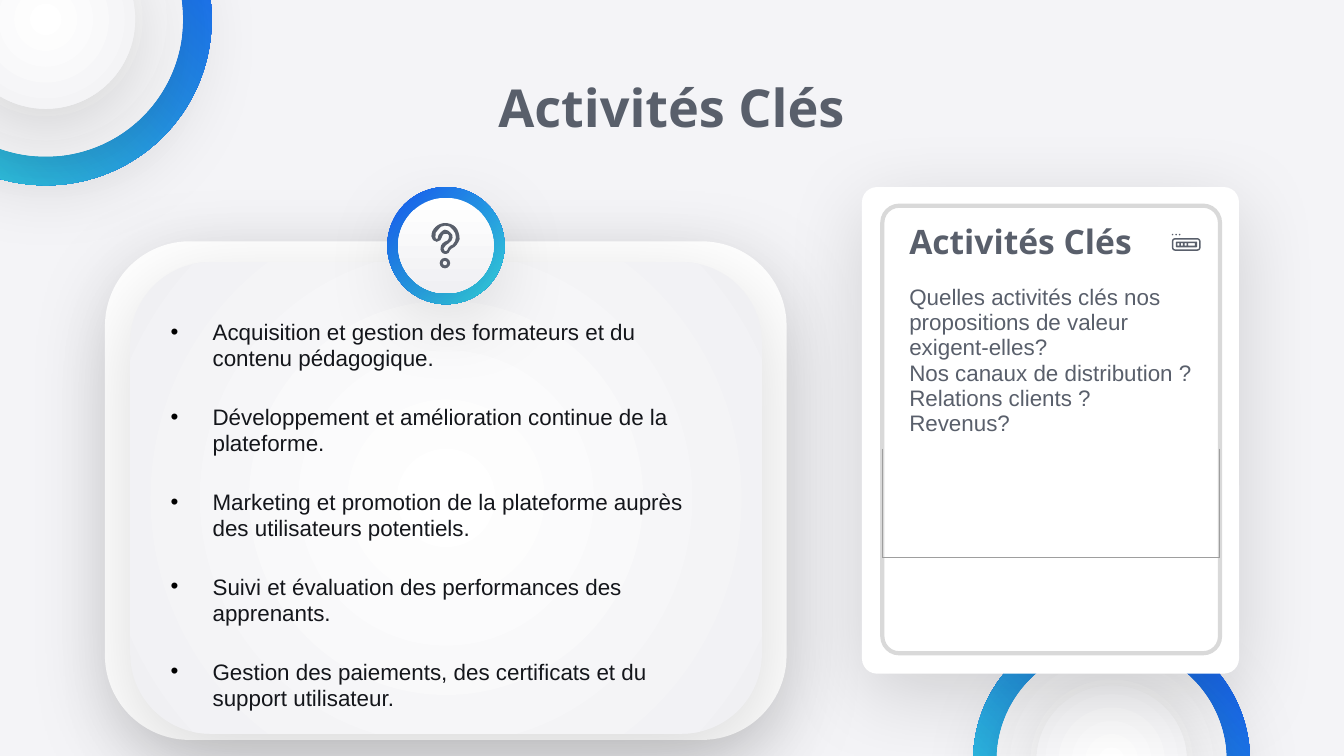
"""Build the key activities slide."""
import math

import lxml.etree
import pptx
import pptx.dml.color
import pptx.enum.shapes
import pptx.enum.text
import pptx.oxml.ns
import pptx.util

RGB = pptx.dml.color.RGBColor
BACK = RGB(0xF4, 0xF4, 0xF7)
WHITE = RGB(0xFF, 0xFF, 0xFF)
PALE = RGB(0xF0, 0xF0, 0xF3)
BLUE = RGB(0x16, 0x58, 0xF1)
CYAN = RGB(0x36, 0xDB, 0xE0)
SLATE = RGB(0x59, 0x5F, 0x6B)
INK = RGB(0x14, 0x16, 0x1B)
BLACK = RGB(0, 0, 0)
FRAME = RGB(0xD9, 0xD9, 0xD9)
RULE = RGB(0x9E, 0x9E, 0x9E)

OVAL = pptx.enum.shapes.MSO_SHAPE.OVAL
ROUND = pptx.enum.shapes.MSO_SHAPE.ROUNDED_RECTANGLE
HEAD = {"name": "Open Sans", "bold": True}
TEXT = {"name": "Arial", "bold": False, "size": pptx.util.Pt(12)}
SIDES = ("left", "right", "top", "bottom")

TITLE = "Activités Clés"
ITEMS = (
    "Acquisition et gestion des formateurs et du contenu pédagogique.",
    "Développement et amélioration continue de la plateforme.",
    "Marketing et promotion de la plateforme auprès des utilisateurs potentiels.",
    "Suivi et évaluation des performances des apprenants.",
    "Gestion des paiements, des certificats et du support utilisateur.",
)
ASKS = (
    "Quelles activités clés nos propositions de valeur exigent-elles?",
    "Nos canaux de distribution ? Relations clients ?\vRevenus?",
)
MARK = (
    "10 2 13 2 15 3 16 5 19 8 19 13 16 16 15 17 15 17 14 17 13 18 12 19 12 20 "
    "12 20 11 21 11 21 11 21 10 21 10 21 10 20 9 20 9 19 10 17 11 16 13 15 "
    "16 13 17 9 14 7 13 6 12 5 10 5 9 5 8 6 7 7 6 8 5 9 5 10 5 11 5 12 4 12 "
    "3 12 3 11 3 10 3 8 3 6 5 5 6 3 8 2 10 2",
    "10 0 8 0 5 1 3 3 1 5 0 7 0 10 0 12 2 14 4 14 6 14 8 12 8 10 8 9 9 8 10 8 "
    "11 8 11 8 12 8 14 9 13 12 12 13 9 14 7 16 7 18 6 20 8 23 10 23 "
    "10 23 10 23 11 23 12 23 14 22 14 20 14 20 15 20 15 19 18 18 20 15 21 12 "
    "21 9 20 5 18 3 16 1 13 0 10 0",
)


def fmt(item, vals):
    """Set each named attribute of an object."""
    for name, val in vals.items():
        setattr(item, name, val)


def node(base, tag, **vals):
    """Append an XML child with attributes."""
    return lxml.etree.SubElement(base, pptx.oxml.ns.qn(tag), vals)


def box(*vals):
    """Return each value as a length."""
    return [pptx.util.Pt(val) for val in vals]


def blend(fill, first, last, angle=None):
    """Fill with a gradient, turned when an angle is given."""
    fill.gradient()
    for stop, tone in zip(fill.gradient_stops, (first, last)):
        stop.color.rgb = tone
    if angle is not None:
        fill.gradient_angle = 360 - angle


def shade(shape):
    """Add the soft drop shadow."""
    glow = shape.element.spPr.find(pptx.oxml.ns.qn("a:effectLst"))
    drop = node(glow, "a:outerShdw", blurRad=str(pptx.util.Pt(45)),
                dist=str(pptx.util.Pt(11.2)), dir="5100000", rotWithShape="0")
    tone = node(drop, "a:srgbClr", val=str(BLACK))
    node(tone, "a:alpha", val="15000")


def plain(shape):
    """Drop the shadow and the line of a shape."""
    shape.shadow.inherit = False
    shape.line.fill.background()
    return shape


def radial(shape):
    """Give a shape the white glow from its centre."""
    blend(shape.fill, WHITE, PALE)
    grad = shape.element.spPr.find(pptx.oxml.ns.qn("a:gradFill"))
    grad.remove(grad.find(pptx.oxml.ns.qn("a:lin")))
    way = node(grad, "a:path", path="circle")
    node(way, "a:fillToRect", l="50000", t="50000", r="50000", b="50000")
    shade(shape)


def disc(shapes, x, y, size, turn=0):
    """Add a circle around a centre point."""
    half = size / 2
    shape = plain(shapes.add_shape(OVAL, *box(x - half, y - half, size, size)))
    shape.rotation = turn
    return shape


def rings(shapes, x, y, sizes):
    """Add a blue ring with two glowing discs inside."""
    blend(disc(shapes, x, y, sizes[0], 90).fill, BLUE, CYAN, 45)
    for size in sizes[1:]:
        radial(disc(shapes, x, y, size, 90))


def panel(shapes, area, adj):
    """Add a rounded rectangle."""
    shape = plain(shapes.add_shape(ROUND, *box(*area)))
    shape.adjustments[0] = adj
    return shape


def chain(data, x, y, unit):
    """Scale a string of coordinates to points."""
    nums = [int(num) for num in data.split()]
    return [(x + a * unit, y + b * unit) for a, b in zip(nums[::2], nums[1::2])]


def pill(x, y, wide, high, rad=0):
    """Return the points of a rounded rectangle."""
    ends = ((x + wide - rad, y + high - rad), (x + rad, y + high - rad),
            (x + rad, y + rad), (x + wide - rad, y + rad))
    steps = range(0, 91, 30) if rad else (0,)
    return [(a + rad * math.cos(math.radians(90 * i + step)),
             b + rad * math.sin(math.radians(90 * i + step)))
            for i, (a, b) in enumerate(ends) for step in steps]


def trace(shapes, *loops):
    """Add one slate outline made of closed loops."""
    pen = None
    for loop in loops:
        first, *rest = [box(*dot) for dot in loop]
        if pen is None:
            pen = shapes.build_freeform(*first)
        else:
            pen.move_to(*first)
        pen.add_line_segments(rest, close=True)
    shape = plain(pen.convert_to_shape())
    shape.fill.solid()
    shape.fill.fore_color.rgb = SLATE
    return shape


def smooth(shape):
    """Join each three segments of an outline into one cubic curve."""
    lines = list(shape.element.iter(pptx.oxml.ns.qn("a:lnTo")))
    for i in range(0, len(lines), 3):
        curve = lxml.etree.Element(pptx.oxml.ns.qn("a:cubicBezTo"))
        lines[i].addprevious(curve)
        for line in lines[i:i + 3]:
            curve.append(line[0])
            line.getparent().remove(line)


def icons(shapes):
    """Add the question mark and the device icon."""
    smooth(trace(shapes, *[chain(data, 231.12, 119.52, 0.72) for data in MARK]))
    trace(shapes, pill(235.6, 138.2, 5.6, 5.6, 2.8), pill(237.2, 139.8, 2.4, 2.4, 1.2))
    trace(shapes, pill(627.8, 127.6, 15.4, 6.8, 1.7), pill(628.6, 128.4, 13.8, 5.2, 0.9))
    for i in range(3):
        trace(shapes, pill(627.8 + 1.9 * i, 125.3, 0.8, 0.8, 0.4))
    slots = [pill(630.8 + 1.9 * i, 130.3, 1.1, 1.4) for i in range(3)]
    trace(shapes, pill(630, 129.5, 11.4, 3, 0.4), *slots, pill(636.5, 130.3, 3.6, 1.4))


def write(para, text, tone, face):
    """Fill a paragraph with formatted text."""
    para.text = text
    for run in para.runs:
        fmt(run.font, face)
        run.font.color.rgb = tone


def place(shape, area):
    """Move a placeholder to the front and set its frame."""
    fmt(shape, dict(zip(("left", "top", "width", "height"), box(*area))))
    shape.element.getparent().append(shape.element)
    frame = shape.text_frame
    fmt(frame, {"word_wrap": True, "auto_size": pptx.enum.text.MSO_AUTO_SIZE.NONE})
    fmt(frame, {f"margin_{side}": pptx.util.Pt(7.2) for side in SIDES})
    return frame


def points(shape):
    """Write the bulleted list."""
    frame = place(shape, (84.2, 163.4, 295.2, 224.6))
    frame.vertical_anchor = pptx.enum.text.MSO_ANCHOR.TOP
    for i, item in enumerate(ITEMS):
        para = frame.add_paragraph() if i else frame.paragraphs[0]
        props = para._p.get_or_add_pPr()
        props.set("marL", str(pptx.util.Pt(22.5)))
        props.set("indent", str(pptx.util.Pt(-22.5)))
        node(node(props, "a:buClr"), "a:srgbClr", val=str(BLACK))
        node(props, "a:buFont", typeface="Arial")
        node(props, "a:buChar", char="•")
        fmt(para, {"line_spacing": pptx.util.Pt(14.2),
                   "space_before": pptx.util.Pt(17.1 if i else 0)})
        write(para, item, INK, TEXT)


def edge(cell, drawn, pad):
    """Set the borders, margins and empty fill of a cell."""
    props = cell._tc.get_or_add_tcPr()
    for side in SIDES:
        line = node(props, f"a:ln{side[0].upper()}", w=str(pptx.util.Pt(0.75)))
        if side in drawn:
            node(node(line, "a:solidFill"), "a:srgbClr", val=str(RULE))
        else:
            node(line, "a:noFill")
    cell.fill.background()
    fmt(cell, {f"margin_{side}": pptx.util.Pt(pad) for side in SIDES})


def grid(shapes):
    """Add the table with the questions."""
    table = shapes.add_table(3, 1, *box(472.7, 110.2, 180.6, 188.6)).table
    fmt(table, {"first_row": False, "horz_banding": False})
    for row, high in zip(table.rows, (130.2, 29.2, 29.2)):
        row.height = pptx.util.Pt(high)
    drawn = ((), ("left", "right"), ("left", "right", "bottom"))
    for i, lines in enumerate(drawn):
        edge(table.cell(i, 0), lines, 0 if i else 7.2)
    cell = table.cell(0, 0)
    fmt(cell, {"margin_left": pptx.util.Pt(14.4), "margin_bottom": pptx.util.Pt(6.5)})
    frame = cell.text_frame
    write(frame.paragraphs[0], TITLE, SLATE, {**HEAD, "size": pptx.util.Pt(18)})
    for i, ask in enumerate(ASKS):
        para = frame.add_paragraph()
        fmt(para, {"line_spacing": pptx.util.Pt(13.5),
                   "space_before": pptx.util.Pt(0 if i else 10.8)})
        write(para, ask, SLATE, TEXT)


def cards(shapes):
    """Add the two cards and the badge."""
    for area, adj in (((461.8, 100.2, 202, 260.7), 0.04), ((56.2, 129.3, 365.2, 267.1), 0.17)):
        card = panel(shapes, area, adj)
        card.fill.solid()
        card.fill.fore_color.rgb = WHITE
        shade(card)
        if adj == 0.04:
            frame = panel(shapes, (472.7, 110.2, 180.9, 239.8), 0.05)
            frame.fill.background()
            frame.line.color.rgb = FRAME
            frame.line.width = pptx.util.Pt(2.25)
    radial(panel(shapes, (69.8, 140.4, 338.4, 252.7), 0.17))
    blend(disc(shapes, 238.9, 131.6, 62.8).fill, BLUE, CYAN, 45)
    badge = disc(shapes, 238.9, 131.6, 51.2)
    blend(badge.fill, WHITE, PALE, 90)
    shade(badge)


def main():
    """Build and save the slide."""
    deck = pptx.Presentation()
    fmt(deck, {"slide_width": pptx.util.Pt(720), "slide_height": pptx.util.Pt(405)})
    slide = deck.slides.add_slide(deck.slide_layouts[1])
    slide.background.fill.solid()
    slide.background.fill.fore_color.rgb = BACK
    shapes = slide.shapes
    title, body = slide.placeholders
    rings(shapes, 24.5, 10.4, (177.8, 146.9, 95.8))
    rings(shapes, 595.5, 407.5, (148.3, 123.1, 80.6))
    cards(shapes)
    grid(shapes)
    frame = place(title, (55.9, 42.5, 607.6, 29.5))
    frame.vertical_anchor = pptx.enum.text.MSO_ANCHOR.MIDDLE
    write(frame.paragraphs[0], TITLE, SLATE, {**HEAD, "size": pptx.util.Pt(28)})
    frame.paragraphs[0].alignment = pptx.enum.text.PP_ALIGN.CENTER
    points(body)
    icons(shapes)
    deck.save("out.pptx")


if __name__ == "__main__":
    main()
